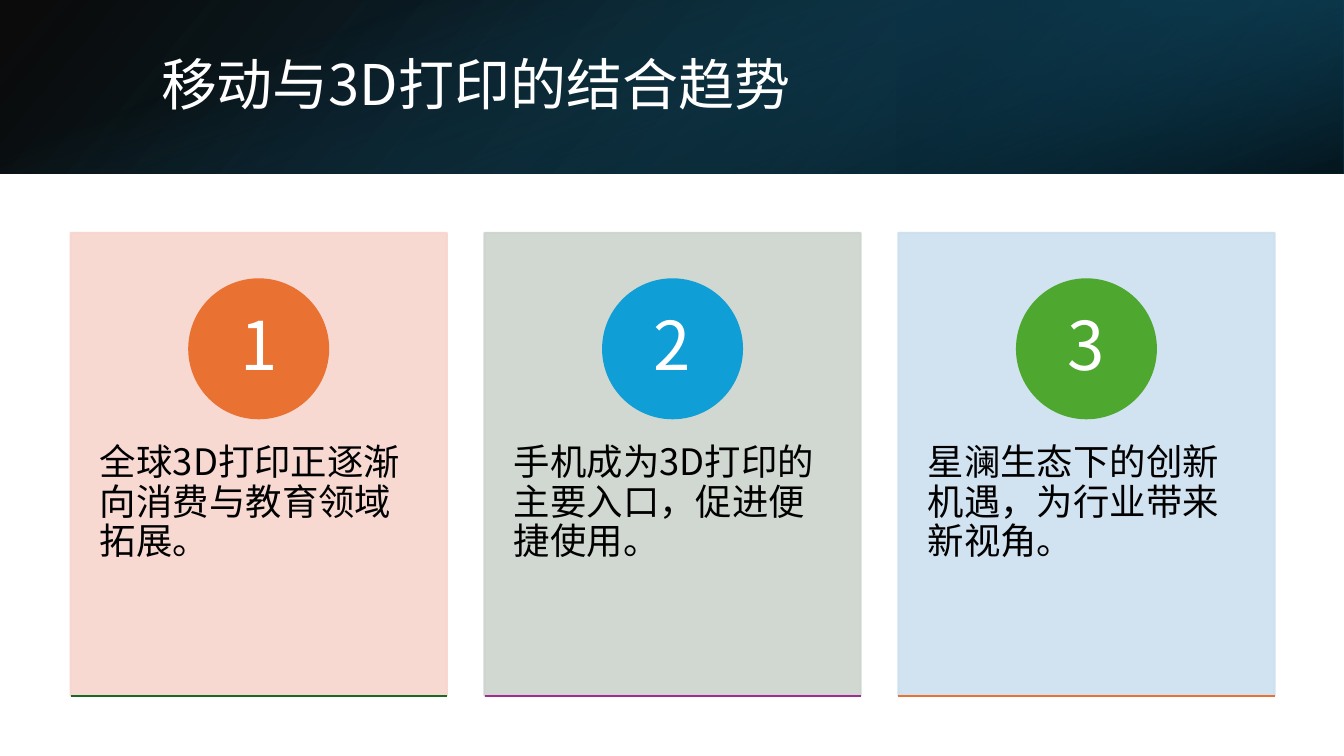
from typing import NamedTuple

from lxml import etree
from pptx import Presentation
from pptx import util as u
from pptx.dml.color import RGBColor
from pptx.enum import shapes, text
from pptx.oxml.ns import qn

FONT = "Noto Sans CJK SC"
COLORS = {
    "white": "FFFFFF", "black": "000000",
    "navy": "0B3041", "teal": "104862", "sea": "156082",
    "pink": "F7D5CE", "sage": "CCD4CD", "ice": "CCDFEF",
    "orange": "E97132", "blue": "0F9ED5", "lime": "4EA72E",
    "forest": "196B24", "purple": "A02B93",
}
PAGE_WIDTH, PAGE_HEIGHT = 33.87, 19.05
HEADER_HEIGHT = 4.37
BLEND_WIDTH = 11.28
HEADER_MID = (PAGE_WIDTH - HEADER_HEIGHT) / 2
CARD_LEFT, CARD_TOP, CARD_WIDTH, CARD_HEIGHT = 1.78, 5.87, 9.48, 11.66
CARD_PITCH = 10.43
CIRCLE_TOP, CIRCLE_SIZE = 7.04, 3.5
NUMBER_SIZE = 2.47
BODY_TOP, BODY_HEIGHT = 10.29, 6.98


class Area(NamedTuple):
    """Left, top, width and height in centimetres."""
    left: float
    top: float
    width: float
    height: float

    def lengths(self) -> list:
        return [u.Cm(value) for value in self]


class Stop(NamedTuple):
    position: int
    color: str
    opacity: int


class Layer(NamedTuple):
    """One gradient sheet of the header."""
    area: Area
    rotation: int
    flipped: bool
    angle: int
    stops: list[Stop]


class Card(NamedTuple):
    body: str
    panel: str
    circle: str
    rule: str


class Style(NamedTuple):
    size: int
    color: str
    align: text.PP_ALIGN
    anchor: text.MSO_ANCHOR
    inset_x: float
    inset_y: float


TITLE = Style(40, "white", text.PP_ALIGN.LEFT, text.MSO_ANCHOR.MIDDLE, 0.25, 0.13)
BODY = Style(26, "black", text.PP_ALIGN.LEFT, text.MSO_ANCHOR.TOP, 0.74, 0.91)
NUMBER = Style(48, "white", text.PP_ALIGN.CENTER, text.MSO_ANCHOR.MIDDLE, 0.28, 0.03)

LAYERS = [
    Layer(Area(0, 0, PAGE_WIDTH, HEADER_HEIGHT), 0, True, 140,
          [Stop(0, "black", 96), Stop(100, "teal", 100)]),
    Layer(Area(PAGE_WIDTH - BLEND_WIDTH, 0, BLEND_WIDTH, HEADER_HEIGHT), 180, True, 320,
          [Stop(19, "navy", 68), Stop(100, "sea", 79)]),
    Layer(Area(HEADER_MID, -HEADER_MID, HEADER_HEIGHT, PAGE_WIDTH), 90, False, 340,
          [Stop(23, "sea", 0), Stop(99, "black", 74)]),
]
CARDS = [
    Card("全球3D打印正逐渐向消费与教育领域拓展。", "pink", "orange", "forest"),
    Card("手机成为3D打印的主要入口，促进便捷使用。", "sage", "blue", "purple"),
    Card("星澜生态下的创新机遇，为行业带来新视角。", "ice", "lime", "orange"),
]


def rgb(name: str) -> RGBColor:
    return RGBColor.from_string(COLORS[name])


def set_opacity(color_element, percent: int) -> None:
    etree.SubElement(color_element, qn("a:alpha"), val=str(percent * 1000))


def add_layer(page, layer: Layer) -> None:
    sheet = page.shapes.add_shape(shapes.MSO_SHAPE.RECTANGLE, *layer.area.lengths())
    sheet.shadow.inherit = False
    sheet.line.fill.background()
    sheet.rotation = layer.rotation
    properties = sheet._element.spPr
    if layer.flipped:
        properties.find(qn("a:xfrm")).set("flipH", "1")
    gradient = etree.Element(qn("a:gradFill"), rotWithShape="1")
    stop_list = etree.SubElement(gradient, qn("a:gsLst"))
    for stop in layer.stops:
        mark = etree.SubElement(stop_list, qn("a:gs"), pos=str(stop.position * 1000))
        color = etree.SubElement(mark, qn("a:srgbClr"), val=COLORS[stop.color])
        set_opacity(color, stop.opacity)
    etree.SubElement(gradient, qn("a:lin"), ang=str(layer.angle * 60000), scaled="0")
    properties.find(qn("a:prstGeom")).addnext(gradient)


def add_solid(page, kind: shapes.MSO_SHAPE, area: Area, color: str, opacity: int = 100) -> None:
    """Draw a shape whose fill and outline share one colour."""
    shape = page.shapes.add_shape(kind, *area.lengths())
    shape.shadow.inherit = False
    shape.fill.solid()
    shape.fill.fore_color.rgb = rgb(color)
    shape.line.color.rgb = rgb(color)
    shape.line.width = u.Pt(1.5)
    if opacity < 100:
        for element in shape._element.spPr.iter(qn("a:srgbClr")):
            set_opacity(element, opacity)


def add_rule(page, left: float, top: float, color: str) -> None:
    rule = page.shapes.add_connector(
        shapes.MSO_CONNECTOR.STRAIGHT,
        u.Cm(left), u.Cm(top), u.Cm(left + CARD_WIDTH), u.Cm(top))
    rule.line.color.rgb = rgb(color)
    rule.line.width = u.Pt(1.5)
    etree.SubElement(rule._element.spPr, qn("a:effectLst"))


def add_text(page, area: Area, words: str, style: Style) -> None:
    box = page.shapes.add_textbox(*area.lengths())
    frame = box.text_frame
    frame.word_wrap = True
    frame.vertical_anchor = style.anchor
    frame.margin_left = frame.margin_right = u.Cm(style.inset_x)
    frame.margin_top = frame.margin_bottom = u.Cm(style.inset_y)
    frame.text = words
    para = frame.paragraphs[0]
    para.alignment = style.align
    para.line_spacing = 0.9
    span = para.runs[0]
    span.font.size = u.Pt(style.size)
    span.font.name = FONT
    span.font.color.rgb = rgb(style.color)
    latin = span.font._element.find(qn("a:latin"))
    latin.addnext(etree.Element(qn("a:ea"), typeface=FONT))


def add_card(page, index: int, card: Card) -> None:
    left = CARD_LEFT + index * CARD_PITCH
    circle_left = left + (CARD_WIDTH - CIRCLE_SIZE) / 2
    number_gap = (CIRCLE_SIZE - NUMBER_SIZE) / 2
    add_solid(page, shapes.MSO_SHAPE.RECTANGLE,
              Area(left, CARD_TOP, CARD_WIDTH, CARD_HEIGHT), card.panel, 90)
    add_text(page, Area(left, BODY_TOP, CARD_WIDTH, BODY_HEIGHT), card.body, BODY)
    add_solid(page, shapes.MSO_SHAPE.OVAL,
              Area(circle_left, CIRCLE_TOP, CIRCLE_SIZE, CIRCLE_SIZE), card.circle)
    add_text(page, Area(circle_left + number_gap, CIRCLE_TOP + number_gap,
                        NUMBER_SIZE, NUMBER_SIZE), str(index + 1), NUMBER)
    add_rule(page, left, CARD_TOP + CARD_HEIGHT, card.rule)


def main() -> None:
    deck = Presentation()
    deck.slide_width, deck.slide_height = u.Cm(PAGE_WIDTH), u.Cm(PAGE_HEIGHT)
    page = deck.slides.add_slide(deck.slide_layouts[6])
    for layer in LAYERS:
        add_layer(page, layer)
    add_text(page, Area(3.81, 0.97, 27.89, 2.44), "移动与3D打印的结合趋势", TITLE)
    for index, card in enumerate(CARDS):
        add_card(page, index, card)
    deck.save("out.pptx")


if __name__ == "__main__":
    main()
